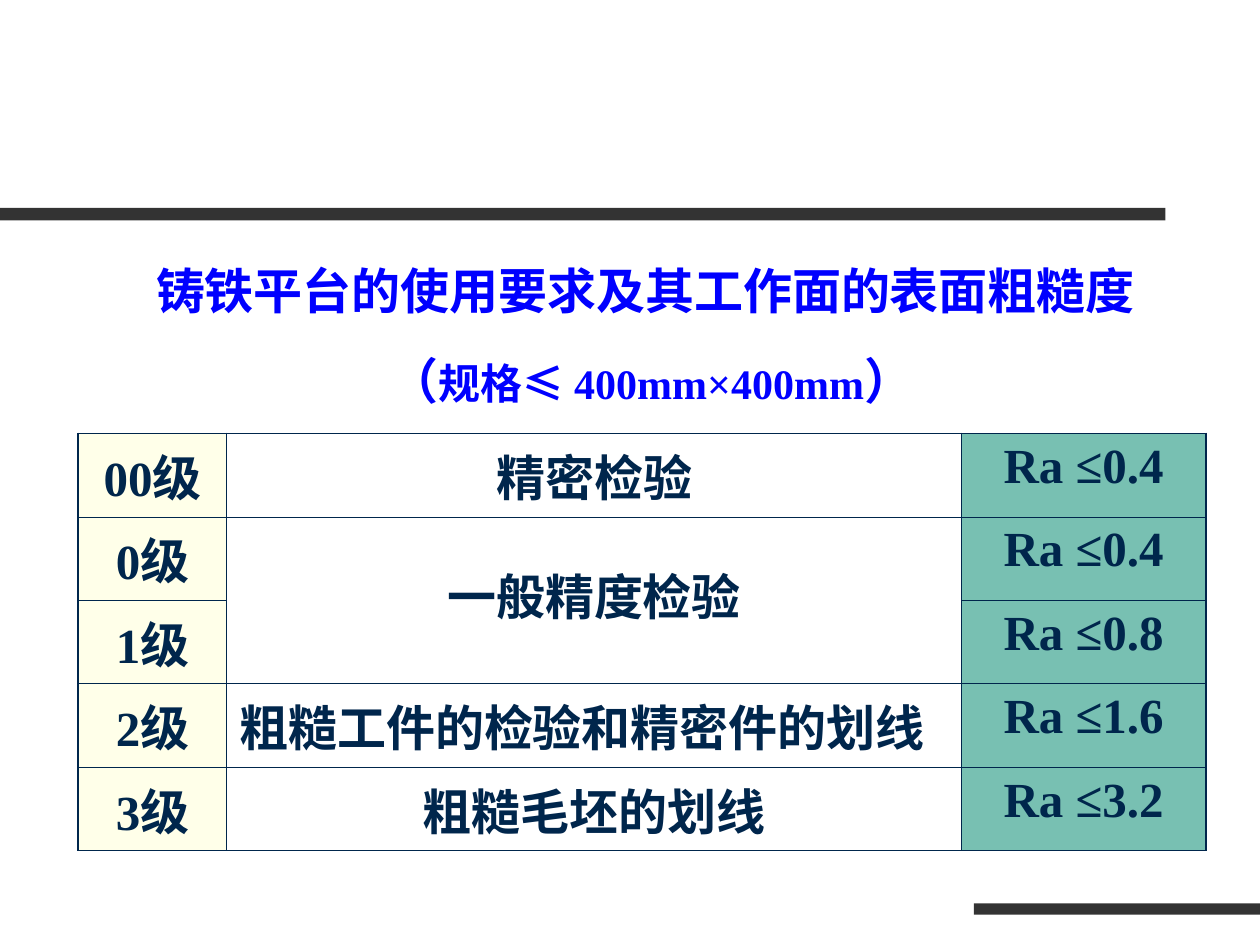
from lxml import etree
from pptx import Presentation
from pptx.dml.color import RGBColor
from pptx.enum.shapes import MSO_SHAPE
from pptx.enum.text import MSO_ANCHOR, PP_ALIGN
from pptx.oxml.ns import qn
from pptx.util import Inches, Pt

RECTANGLE = MSO_SHAPE.RECTANGLE
LEFT, CENTER = PP_ALIGN.LEFT, PP_ALIGN.CENTER
TOP = MSO_ANCHOR.TOP
NAVY, BLUE, BAR, CREAM, TEAL = "00264C", "0000FF", "333333", "FFFFE9", "78C0B2"
OUTER, INNER = 1.08, 0.45


def color(value):
    return RGBColor.from_string(value)


class SlideBuilder:
    """Holds the text style and the current slide, and adds elements to it."""

    def __init__(self, slide):
        self.slide = slide
        self.font_format = {"name": "Times New Roman", "bold": True}

    def add_text(self, paragraph, runs, ink, **layout):
        for key, value in layout.items():
            setattr(paragraph, key, value)
        for text, size in runs:
            run = paragraph.add_run()
            run.text = text
            for key, value in {**self.font_format, "size": Pt(size)}.items():
                setattr(run.font, key, value)
            run.font.color.rgb = color(ink)

    def bar(self, left, top, width, height):
        bar = self.slide.shapes.add_shape(
            RECTANGLE, Inches(left), Inches(top), Inches(width), Inches(height))
        bar.shadow.inherit = False
        bar.fill.solid()
        bar.fill.fore_color.rgb = color(BAR)
        bar.line.fill.background()

    def heading(self, left, top, width, height, title, subtitle):
        box = self.slide.shapes.add_textbox(
            Inches(left), Inches(top), Inches(width), Inches(height))
        frame = box.text_frame
        frame.word_wrap = True
        self.add_text(frame.paragraphs[0], title, BLUE, alignment=LEFT)
        self.add_text(frame.add_paragraph(), subtitle, BLUE,
                      alignment=CENTER, space_before=Pt(17.5))

    def borders(self, cell, widths):
        properties = cell._tc.get_or_add_tcPr()
        for side, width in widths.items():
            line = etree.SubElement(properties, qn(f"a:ln{side}"), w=str(Pt(width)))
            fill = etree.SubElement(line, qn("a:solidFill"))
            etree.SubElement(fill, qn("a:srgbClr"), val=NAVY)

    def table(self, left, top, widths, row_height, rows, fills):
        grid = self.slide.shapes.add_table(
            len(rows), len(widths), Inches(left), Inches(top),
            Inches(sum(widths)), Inches(row_height * len(rows))).table
        grid.first_row = grid.horz_banding = False
        for column, width in zip(grid.columns, widths):
            column.width = Inches(width)
        last_row, last_column = len(rows) - 1, len(widths) - 1
        for r, row in enumerate(rows):
            for c, text in enumerate(row):
                cell = grid.cell(r, c)
                cell.vertical_anchor = TOP
                self.borders(cell, {
                    "L": INNER if c else OUTER,
                    "R": OUTER if c == last_column else INNER,
                    "T": INNER if r else OUTER,
                    "B": OUTER if r == last_row else INNER})
                if fills[c]:
                    cell.fill.solid()
                    cell.fill.fore_color.rgb = color(fills[c])
                else:
                    cell.fill.background()
                if text:
                    self.add_text(cell.text_frame.paragraphs[0], [(text, 28)], NAVY,
                                  alignment=CENTER)
        return grid


def main():
    deck = Presentation()
    deck.slide_width, deck.slide_height = Inches(10), Inches(7.5)
    builder = SlideBuilder(deck.slides.add_slide(deck.slide_layouts[6]))
    builder.bar(0, 1.65, 9.25, 0.1)
    builder.bar(7.73, 7.17, 2.27, 0.09)

    grades = [
        ("00级", "精密检验", "Ra ≤0.4"),
        ("0级", "一般精度检验", "Ra ≤0.4"),
        ("1级", "", "Ra ≤0.8"),
        ("2级", "粗糙工件的检验和精密件的划线", "Ra ≤1.6"),
        ("3级", "粗糙毛坯的划线", "Ra ≤3.2"),
    ]
    roughness = builder.table(0.62, 3.44, [1.18, 5.83, 1.94], 0.63, grades,
                              [CREAM, None, TEAL])
    general_use = roughness.cell(1, 1)
    general_use.merge(roughness.cell(2, 1))
    general_use.text_frame.paragraphs[0].line_spacing = 1.5
    roughness.cell(3, 1).text_frame.paragraphs[0].alignment = LEFT

    builder.heading(1.14, 2.02, 8.06, 1.28,
                    [("铸铁平台的使用要求及其工作面的表面粗糙度", 28)],
                    [("（", 28), ("规格≤ 400mm×400mm", 24), ("）", 28)])
    deck.save("out.pptx")


if __name__ == "__main__":
    main()
